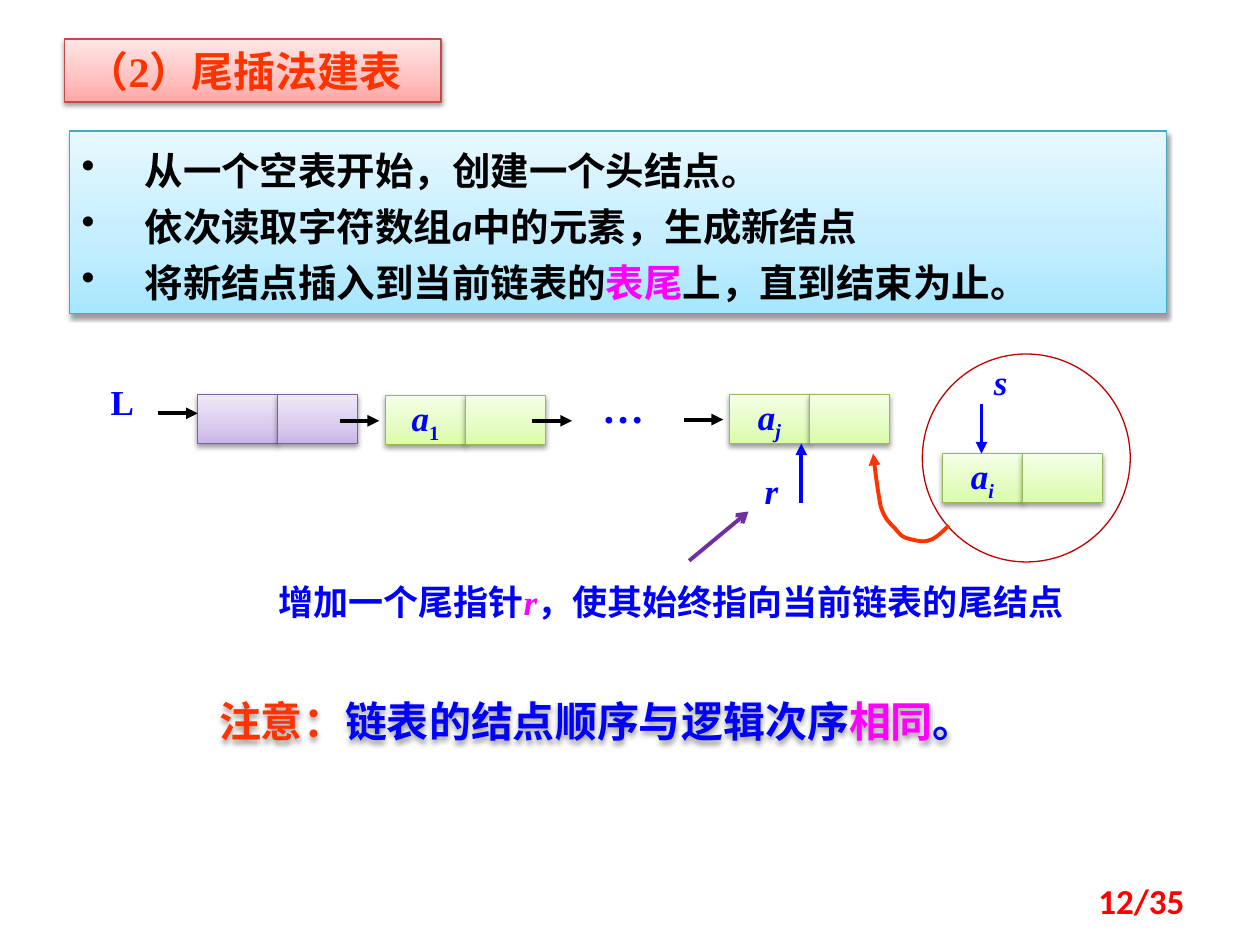
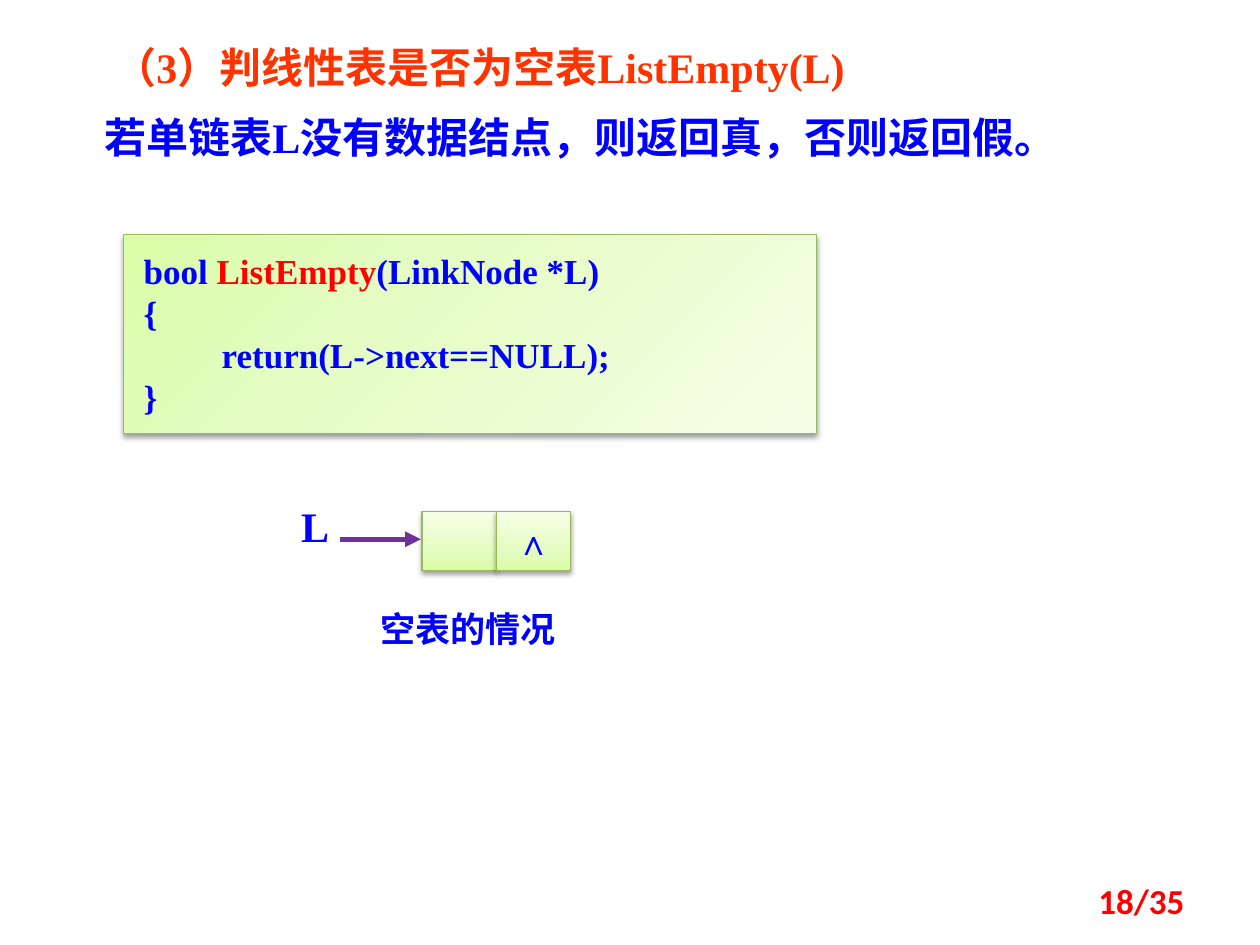
"""Build two slides on linked lists: tail insertion and the empty-list test."""
from copy import deepcopy

from lxml.etree import SubElement
from pptx import Presentation
from pptx.dml.color import RGBColor
from pptx.enum.shapes import MSO_CONNECTOR, MSO_SHAPE
from pptx.enum.text import MSO_ANCHOR, PP_ALIGN
from pptx.oxml.ns import qn
from pptx.util import Inches, Pt

BLACK = RGBColor(0x00, 0x00, 0x00)
BLUE = RGBColor(0x00, 0x00, 0xFF)
RED = RGBColor(0xFF, 0x00, 0x00)
ORANGE = RGBColor(0xFF, 0x33, 0x00)
MAGENTA = RGBColor(0xFF, 0x00, 0xFF)
VIOLET = RGBColor(0x70, 0x30, 0xA0)
CRIMSON = RGBColor(0xC0, 0x00, 0x00)

GREEN_BOX = (RGBColor(0xDA, 0xFD, 0xA7), RGBColor(0xE4, 0xFC, 0xC2),
             RGBColor(0xF5, 0xFF, 0xE7), RGBColor(0x98, 0xB9, 0x55))
PURPLE_BOX = (RGBColor(0xC9, 0xB5, 0xE8), RGBColor(0xD8, 0xCB, 0xEE),
              RGBColor(0xF0, 0xEA, 0xF9), RGBColor(0x7D, 0x60, 0xA0))
PINK_BOX = (RGBColor(0xFF, 0xA6, 0xA5), RGBColor(0xFF, 0xC0, 0xBF),
            RGBColor(0xFF, 0xE7, 0xE7), RGBColor(0xBF, 0x4C, 0x48))
CYAN_BOX = (RGBColor(0xA7, 0xE6, 0xFF), RGBColor(0xC1, 0xED, 0xFF),
            RGBColor(0xE7, 0xF8, 0xFF), RGBColor(0x46, 0xAA, 0xC5))

TIMES, CALIBRI, HAN = "Times New Roman", "Calibri", "Noto Sans CJK SC"

deck = Presentation()
deck.slide_width, deck.slide_height = Inches(10), Inches(7.5)
COL = deck.slide_width / 100
ROW = deck.slide_height / 75


def write(slide, at, paragraphs, box=None, angle=90, shadow=False, size=20,
          font=TIMES, colour=BLUE, bold=True, italic=False,
          align=PP_ALIGN.LEFT, anchor=MSO_ANCHOR.TOP, insets=(1, 0.5),
          wrap=True, spacing=None, before=0, indents=(), bullet=None):
    """Write paragraphs of (text, overrides) runs, in a gradient box if given."""
    left, top, width, height = at
    place = [int(v) for v in (left * COL, top * ROW, width * COL, height * ROW)]
    if box:
        holder = slide.shapes.add_shape(MSO_SHAPE.RECTANGLE, *place)
        holder.fill.gradient()
        holder.fill.gradient_angle = angle
        stop_list = holder.element.spPr.find(".//" + qn("a:gsLst"))
        stop_list.insert(1, deepcopy(stop_list[0]))
        for stop, share, tone in zip(holder.fill.gradient_stops, (0, 0.35, 1), box):
            stop.position = share
            stop.color.rgb = tone
        holder.line.color.rgb = box[3]
        holder.line.width = Pt(0.75)
    else:
        holder = slide.shapes.add_textbox(*place)
    if box or shadow:
        holder.shadow.inherit = False
        effects = holder.element.spPr.find(qn("a:effectLst"))
        cast = SubElement(effects, qn("a:outerShdw"), blurRad=str(Pt(3.1)),
                          dist=str(Pt(1.6)), dir="5400000", rotWithShape="0")
        tint = SubElement(cast, qn("a:srgbClr"), val=str(BLACK))
        SubElement(tint, qn("a:alpha"), val="38000")

    frame = holder.text_frame
    frame.word_wrap = wrap
    frame.vertical_anchor = anchor
    frame.margin_left = frame.margin_right = int(insets[0] * COL)
    frame.margin_top = frame.margin_bottom = int(insets[1] * ROW)
    for number, runs in enumerate(paragraphs):
        paragraph = frame.paragraphs[0] if number == 0 else frame.add_paragraph()
        paragraph.alignment = align
        if spacing:
            paragraph.line_spacing = Pt(spacing)
        if number and before:
            paragraph.space_before = Pt(before)
        props = paragraph._p.get_or_add_pPr()
        if indents:
            props.set("marL", str(int(indents[number] * COL)))
        if bullet:
            props.set("indent", str(-int(indents[number] * COL)))
            SubElement(props, qn("a:buChar"), char=bullet)
        for text, changes in runs:
            run = paragraph.add_run()
            run.text = text
            run.font.size = Pt(size)
            run.font.name = font
            run.font.bold = bold
            run.font.italic = changes.get("italic", italic)
            run.font.color.rgb = changes.get("colour", colour)
            run_props = run.font._element
            SubElement(run_props, qn("a:ea"), typeface=HAN)
            if changes.get("below"):
                run_props.set("baseline", "-25000")


def style_line(stroke, colour, weight, head):
    """Colour a line, end it in an arrowhead and clear its shadow."""
    stroke.line.color.rgb = colour
    stroke.line.width = Pt(weight)
    SubElement(stroke.line._get_or_add_ln(), qn("a:tailEnd"), type=head)
    SubElement(stroke._element.spPr, qn("a:effectLst"))


tail_slide, empty_slide = (deck.slides.add_slide(deck.slide_layouts[6])
                           for _ in range(2))
for slide, page in ((tail_slide, "12/35"), (empty_slide, "18/35")):
    write(slide, (71.7, 69.5, 23.3, 4), [[(page, {})]], font=CALIBRI, colour=RED,
          align=PP_ALIGN.RIGHT, anchor=MSO_ANCHOR.MIDDLE)

new_node_ring = tail_slide.shapes.add_shape(
    MSO_SHAPE.OVAL, int(73.2 * COL), int(28.1 * ROW), int(16.5 * COL), int(16.5 * ROW))
new_node_ring.fill.background()
new_node_ring.line.color.rgb = CRIMSON
new_node_ring.line.width = Pt(0.75)
new_node_ring.shadow.inherit = False

slanted, below = {"italic": True}, {"below": True}
slanted_below = slanted | below
list_cell, empty_cell = (6.35, 3.9), (5.9, 4.7)
nodes = [
    (tail_slide, 15.7, 31.3, list_cell, PURPLE_BOX, [], []),
    (tail_slide, 30.6, 31.4, list_cell, GREEN_BOX, [("a", slanted), ("1", below)], []),
    (tail_slide, 57.9, 31.3, list_cell, GREEN_BOX,
     [("a", slanted), ("j", slanted_below)], []),
    (tail_slide, 74.8, 36, list_cell, GREEN_BOX,
     [("a", slanted), ("i", slanted_below)], []),
    (empty_slide, 33.5, 40.6, empty_cell, GREEN_BOX, [], [("∧", {})]),
]
for slide, left, top, (width, height), box, datum, link in nodes:
    for column, content in enumerate((datum, link)):
        write(slide, (left + column * width, top, width, height), [content], box=box,
              align=PP_ALIGN.CENTER, anchor=MSO_ANCHOR.MIDDLE, wrap=False)

arrows = [
    (tail_slide, (12.5, 32.8), (15.7, 32.8), BLACK, 2.25, "triangle"),
    (tail_slide, (27, 33.4), (30.1, 33.4), BLACK, 2.25, "triangle"),
    (tail_slide, (42.2, 33.4), (45.4, 33.4), BLACK, 2.25, "triangle"),
    (tail_slide, (54.3, 33.3), (57.4, 33.3), BLACK, 2.25, "triangle"),
    (tail_slide, (63.6, 39.9), (63.6, 35.2), BLUE, 2.25, "triangle"),
    (tail_slide, (77.9, 32.1), (77.9, 36), BLUE, 2.25, "triangle"),
    (tail_slide, (54.7, 44.5), (59.4, 40.6), VIOLET, 2.25, "arrow"),
    (empty_slide, (27, 42.8), (33.4, 42.8), VIOLET, 3, "triangle"),
]
for slide, (x1, y1), (x2, y2), colour, weight, head in arrows:
    pointer = slide.shapes.add_connector(
        MSO_CONNECTOR.STRAIGHT, int(x1 * COL), int(y1 * ROW), int(x2 * COL), int(y2 * ROW))
    style_line(pointer, colour, weight, head)

bends = [(75.3, 41.7), (75.1, 41.9), (74.3, 42.8), (73.7, 42.9),
         (73.2, 43.1), (72.3, 42.8), (71.9, 42.7),
         (71.4, 42.5), (71.3, 42.2), (70.9, 41.8),
         (70.5, 41.4), (70.2, 41.1), (69.9, 40.2),
         (69.7, 39.2), (69.4, 36.9), (69.3, 36)]
STEPS = 6
trail = []
for first in range(0, len(bends) - 1, 3):
    for step in range(1, STEPS + 1):
        t = step / STEPS
        weights = ((1 - t) ** 3, 3 * t * (1 - t) ** 2, 3 * t * t * (1 - t), t ** 3)
        x, y = (sum(w * bend[axis] for w, bend in zip(weights, bends[first:first + 4]))
                for axis in (0, 1))
        trail.append((int(x * COL), int(y * ROW)))
sketch = tail_slide.shapes.build_freeform(int(bends[0][0] * COL), int(bends[0][1] * ROW))
sketch.add_line_segments(trail, close=False)
insertion = sketch.convert_to_shape()
insertion.fill.background()
style_line(insertion, ORANGE, 2.25, "triangle")

labels = [
    (tail_slide, (7.8, 29.7, 5.5, 4.3), "L", 20, False, (1, 0.5)),
    (tail_slide, (46.8, 29.8, 5.5, 5), "…", 24, False, (1, 0.5)),
    (tail_slide, (77.9, 28.1, 6.3, 4.3), "s", 20, True, (1, 0.5)),
    (tail_slide, (59.7, 36.8, 6.3, 4.3), "r", 20, True, (1, 0.5)),
    (empty_slide, (23.9, 39.7, 4.7, 4), "L", 24, False, (0, 0)),
]
for slide, at, text, size, italic, insets in labels:
    write(slide, at, [[(text, {})]], size=size, italic=italic, insets=insets)

write(tail_slide, (5.1, 3.1, 29.9, 5), [[("（2）尾插法建表", {})]],
      box=PINK_BOX, size=24, colour=ORANGE, indents=(0.8,))
write(tail_slide, (5.5, 10.4, 87.1, 14.5),
      [[("从一个空表开始，创建一个头结点。", {})],
       [("依次读取字符数组", {}), ("a", slanted), ("中的元素，生成新结点", {})],
       [("将新结点插入到当前链表的", {}), ("表尾", {"colour": MAGENTA}),
        ("上，直到结束为止。", {})]],
      box=CYAN_BOX, size=22, font=CALIBRI, colour=BLACK, spacing=32,
      indents=(5, 5, 5), bullet="•")
write(tail_slide, (21.1, 44.5, 67.2, 5.5),
      [[("增加一个尾指针", {}), ("r", {"colour": MAGENTA, "italic": True}),
        ("，使其始终指向当前链表的尾结点", {})]], spacing=32)
write(tail_slide, (16.4, 54.7, 67.7, 5),
      [[("注意：", {"colour": ORANGE}), ("链表的结点顺序与逻辑次序", {}),
        ("相同", {"colour": MAGENTA}), ("。", {})]],
      size=24, font=HAN, shadow=True)

write(empty_slide, (2.7, 2.8, 91.7, 12.7),
      [[("（3）判线性表是否为空表ListEmpty(L)", {"colour": ORANGE})],
       [("若单链表L没有数据结点，则返回真，否则返回假。", {})]],
      size=24, before=11.5, indents=(5.4, 4.6))
write(empty_slide, (9.8, 18.6, 55, 15.8),
      [[("bool ", {}), ("ListEmpty", {"colour": RED}), ("(LinkNode *L)", {})],
       [("{", {})],
       [("return(L->next==NULL);", {})],
       [("}", {})]],
      box=GREEN_BOX, angle=315, insets=(1.6, 1.2), spacing=24, indents=(0, 0, 6.2, 0))
write(empty_slide, (25.8, 47.7, 22.7, 4.4), [[("空表的情况", {})]],
      font=HAN, align=PP_ALIGN.CENTER)

deck.save("out.pptx")
